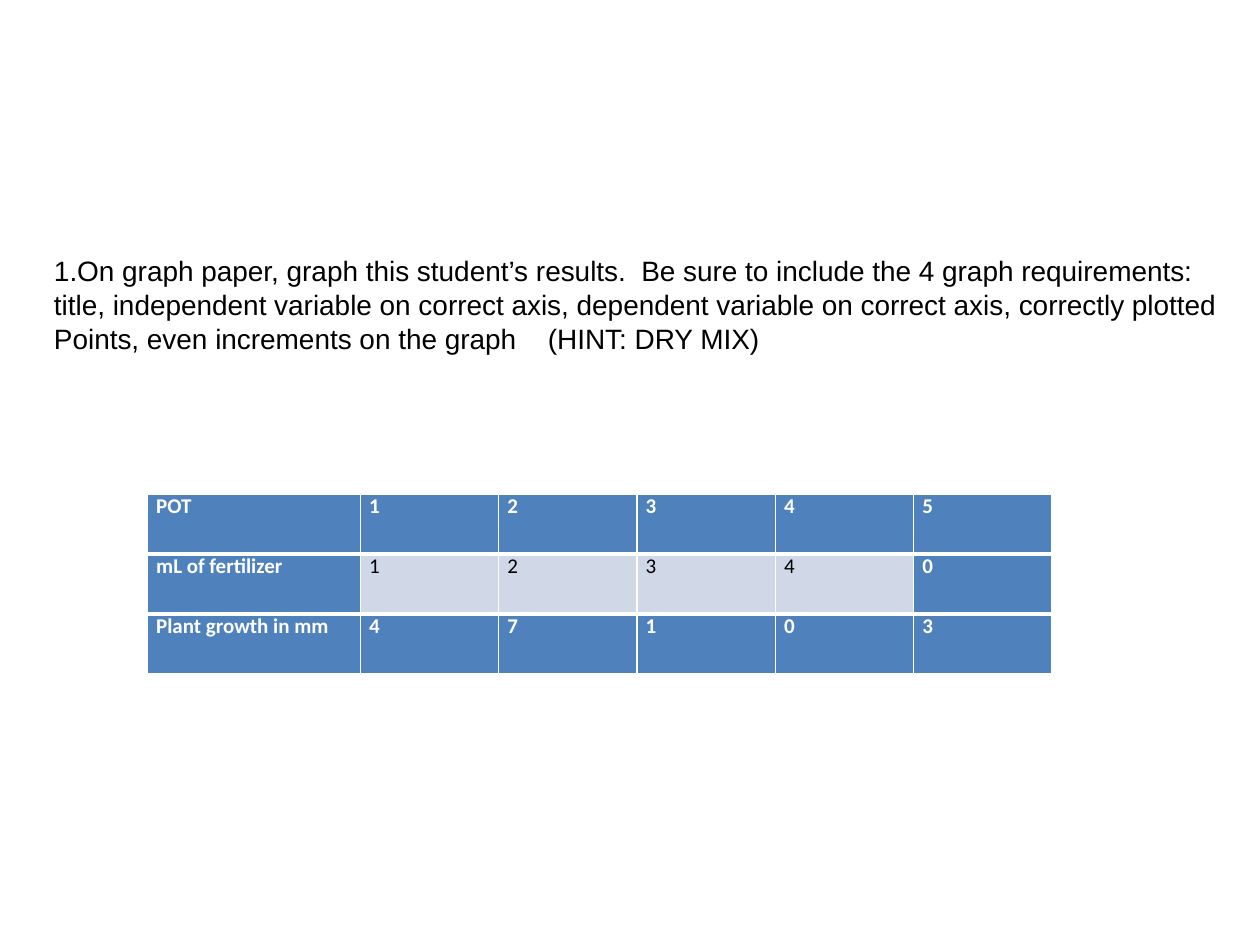
from dataclasses import dataclass

from lxml import etree
from pptx import Presentation
from pptx.dml.color import RGBColor
from pptx.enum.text import MSO_ANCHOR
from pptx.oxml.ns import qn
from pptx.util import Inches, Pt

MIDDLE = MSO_ANCHOR.MIDDLE
BLANK_LAYOUT = 6


@dataclass(frozen=True)
class Theme:
    header_fill: RGBColor = RGBColor(0x4F, 0x81, 0xBD)
    data_fill: RGBColor = RGBColor(0xD0, 0xD8, 0xE8)
    light: RGBColor = RGBColor(0xFF, 0xFF, 0xFF)
    dark: RGBColor = RGBColor(0, 0, 0)
    body_font: str = "Arial"
    table_font: str = "Calibri"
    body_size: int = 16
    table_size: int = 12
    thin: int = 1
    thick: int = 3


THEME = Theme()

INSTRUCTIONS = [
    "On graph paper, graph this student’s results.  Be sure to include the 4 graph requirements:",
    "title, independent variable on correct axis, dependent variable on correct axis, correctly plotted",
    "Points, even increments on the graph\t(HINT: DRY MIX)",
]
RESULTS = [
    ["POT", "1", "2", "3", "4", "5"],
    ["mL of fertilizer", "1", "2", "3", "4", "0"],
    ["Plant growth in mm", "4", "7", "1", "0", "3"],
]


def style_run(run, font_name, size, color, bold=False):
    run.font.name = font_name
    run.font.size = Pt(size)
    run.font.color.rgb = color
    run.font.bold = bold


def add_border(cell, side, width):
    properties = cell._tc.get_or_add_tcPr()
    line = etree.SubElement(properties, qn(f"a:ln{side}"), w=str(Pt(width)))
    fill = etree.SubElement(line, qn("a:solidFill"))
    etree.SubElement(fill, qn("a:srgbClr"), val=str(THEME.light))


def add_instructions(slide, left, top, width, height):
    box = slide.shapes.add_textbox(left, top, width, height)
    text_frame = box.text_frame
    text_frame.word_wrap = True
    text_frame.vertical_anchor = MIDDLE
    text_frame.margin_top = text_frame.margin_bottom = 0
    text_frame.text = "\n".join(INSTRUCTIONS)
    for paragraph in text_frame.paragraphs:
        for run in paragraph.runs:
            style_run(run, THEME.body_font, THEME.body_size, THEME.dark)

    # Number on the first line, tab stop for the hint on the last
    first = text_frame.paragraphs[0]._p.get_or_add_pPr()
    etree.SubElement(first, qn("a:buFont"), typeface=THEME.body_font)
    etree.SubElement(first, qn("a:buAutoNum"), type="arabicPeriod")
    last = text_frame.paragraphs[-1]._p.get_or_add_pPr()
    tabs = etree.SubElement(last, qn("a:tabLst"))
    etree.SubElement(tabs, qn("a:tab"), pos=str(Inches(3.92)), algn="l")


def add_results_table(slide, left, top, width, height, label_width):
    row_count, column_count = len(RESULTS), len(RESULTS[0])
    table = slide.shapes.add_table(
        row_count, column_count, left, top, width, height
    ).table
    value_width = (width - label_width) // (column_count - 1)
    for index, column in enumerate(table.columns):
        column.width = value_width if index else label_width

    for row_index, values in enumerate(RESULTS):
        for column_index, value in enumerate(values):
            cell = table.cell(row_index, column_index)
            cell.margin_left = cell.margin_right = Inches(0.07)
            cell.margin_top = cell.margin_bottom = 0

            # Thick rules between rows, thin ones elsewhere
            above = THEME.thick if row_index else THEME.thin
            below = THEME.thick if row_index < row_count - 1 else THEME.thin
            for side, rule in zip("LRTB", (THEME.thin, THEME.thin, above, below)):
                add_border(cell, side, rule)

            # Only the inner cells are plain; the frame is emphasised
            inner = (0 < row_index < row_count - 1
                     and 0 < column_index < column_count - 1)
            cell.fill.solid()
            cell.fill.fore_color.rgb = THEME.data_fill if inner else THEME.header_fill
            cell.text_frame.text = value
            style_run(cell.text_frame.paragraphs[0].runs[0], THEME.table_font,
                      THEME.table_size, THEME.dark if inner else THEME.light, not inner)


presentation = Presentation()
presentation.slide_width = Inches(10)
presentation.slide_height = Inches(7.5)
slide = presentation.slides.add_slide(presentation.slide_layouts[BLANK_LAYOUT])
add_results_table(slide, Inches(1.17), Inches(3.92), Inches(7.18), Inches(1.43),
                  label_width=Inches(1.69))
add_instructions(slide, Inches(0.33), Inches(1.74), Inches(9.61), Inches(1.35))
presentation.save("out.pptx")
